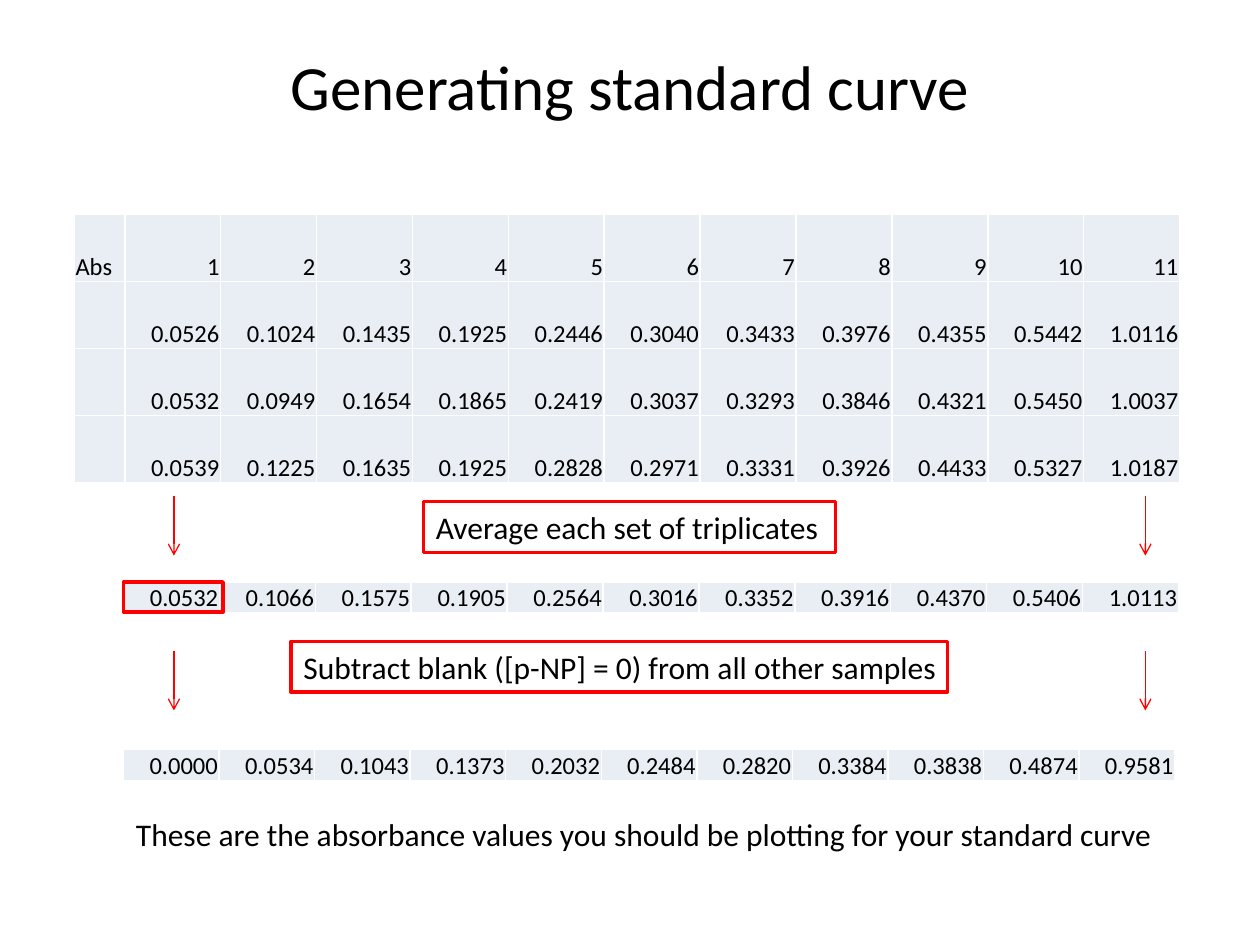
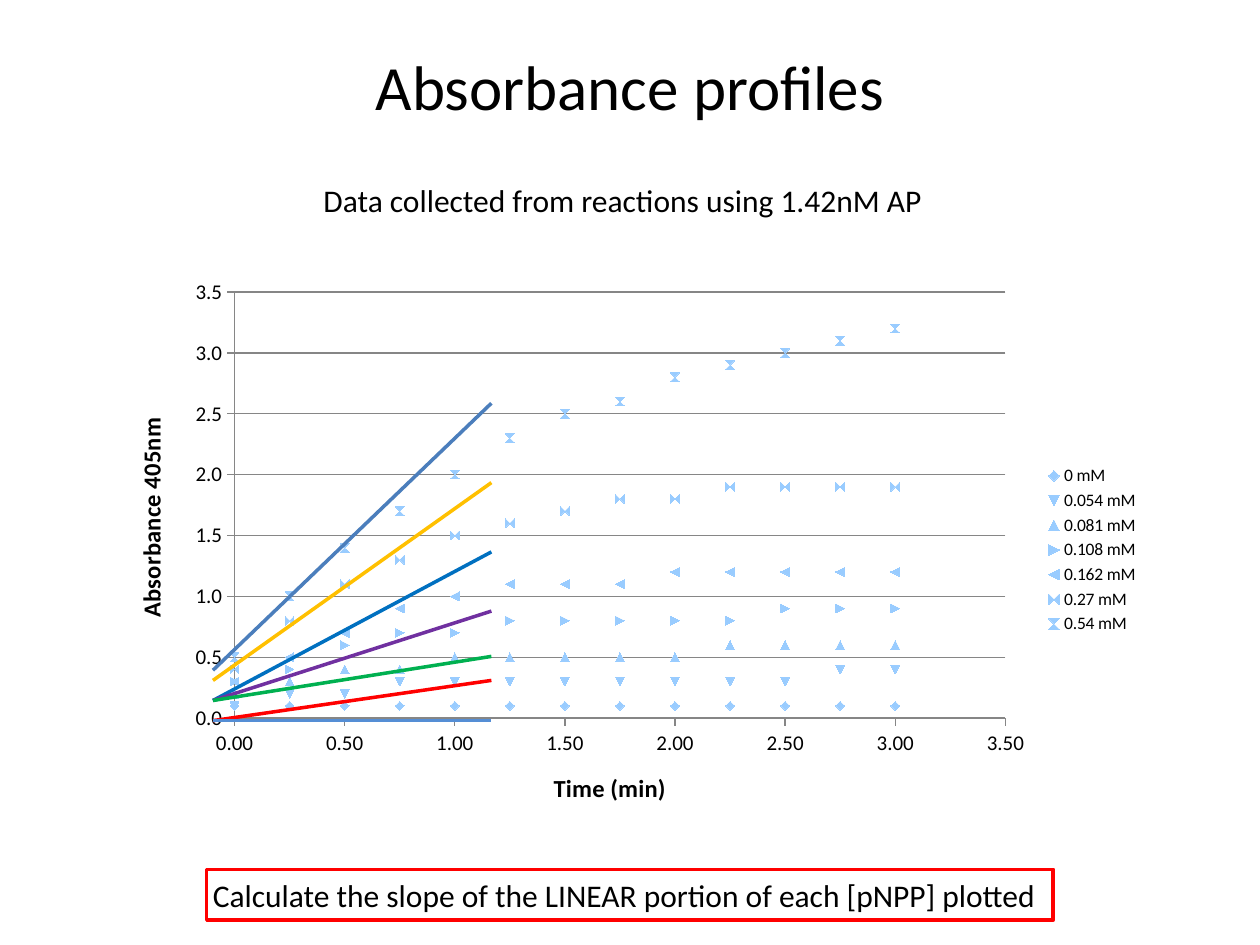
from lxml import etree
from pptx import Presentation, oxml
from pptx.chart import data as cd
from pptx.dml import color as col
from pptx.enum import chart as ce, shapes as se, text as te
from pptx.oxml import ns
from pptx.util import Pt

FONT = "Calibri"
BLACK, WHITE, RED = "000000", "FFFFFF", "FF0000"
BAND, GREY, SKY = "E9EDF4", "868686", "99CCFF"


def rgb(code):
    return col.RGBColor.from_string(code)


def style(font, size, bold=False):
    font.name, font.size, font.bold = FONT, Pt(size), bold
    font.color.rgb = rgb(BLACK)


def write(frame, words, size, align=te.PP_ALIGN.LEFT):
    par = frame.paragraphs[0]
    par.alignment = align
    run = par.add_run()
    run.text = words
    style(run.font, size)


def start(deck, words):
    slide = deck.slides.add_slide(deck.slide_layouts[5])
    slide.background.fill.solid()
    slide.background.fill.fore_color.rgb = rgb(WHITE)
    title = slide.shapes.title
    title.left, title.top, title.width, title.height = map(Pt, (36, 3.6, 648, 90))
    title.text_frame.vertical_anchor = te.MSO_ANCHOR.MIDDLE
    write(title.text_frame, words, 36, te.PP_ALIGN.CENTER)
    return slide


def label(slide, words, left, top, width):
    box = slide.shapes.add_textbox(Pt(left), Pt(top), Pt(width), Pt(29))
    box.text_frame.word_wrap = False
    box.text_frame.auto_size = te.MSO_AUTO_SIZE.SHAPE_TO_FIT_TEXT
    write(box.text_frame, words, 18)


def frame(slide, left, top, width, height=29):
    box = slide.shapes.add_shape(se.MSO_SHAPE.RECTANGLE, Pt(left), Pt(top),
                                 Pt(width), Pt(height))
    box.shadow.inherit = False
    box.fill.background()
    box.line.color.rgb = rgb(RED)
    box.line.width = Pt(2)


def line(slide, x1, y1, x2, y2, code, width, arrow=False):
    link = slide.shapes.add_connector(se.MSO_CONNECTOR.STRAIGHT,
                                      Pt(x1), Pt(y1), Pt(x2), Pt(y2))
    link.line.color.rgb = rgb(code)
    link.line.width = Pt(width)
    if arrow:
        etree.SubElement(link.line._get_or_add_ln(), ns.qn("a:tailEnd"), type="arrow")
    etree.SubElement(link._element.spPr, ns.qn("a:effectLst"))


def edge(cell):
    props = cell._tc.get_or_add_tcPr()
    for spot, side in enumerate("LRTB"):
        props.insert(spot, oxml.parse_xml(
            f'<a:ln{side} {ns.nsdecls("a")} w="12700"><a:solidFill>'
            f'<a:srgbClr val="{WHITE}"/></a:solidFill></a:ln{side}>'))


def grid(slide, rows, left, top, widths, height):
    shape = slide.shapes.add_table(len(rows), len(widths), Pt(left), Pt(top),
                                   Pt(sum(widths)), Pt(height * len(rows)))
    table = shape.table
    table.first_row = table.horz_banding = False
    for part, width in zip(table.columns, widths):
        part.width = Pt(width)
    for r, row in enumerate(rows):
        table.rows[r].height = Pt(height)
        for c, words in enumerate(row):
            cell = table.cell(r, c)
            cell.margin_left = cell.margin_right = cell.margin_top = Pt(0.7)
            cell.margin_bottom = 0
            cell.vertical_anchor = te.MSO_ANCHOR.BOTTOM
            cell.fill.solid()
            cell.fill.fore_color.rgb = rgb(BAND)
            edge(cell)
            if words:
                side = te.PP_ALIGN.LEFT if words == "Abs" else te.PP_ALIGN.RIGHT
                write(cell.text_frame, words, 14, side)


def axis(part, words, top, form):
    part.minimum_scale, part.maximum_scale, part.major_unit = 0, top, 0.5
    part.major_tick_mark = ce.XL_TICK_MARK.OUTSIDE
    part.minor_tick_mark = ce.XL_TICK_MARK.NONE
    part.format.line.color.rgb = rgb(GREY)
    part.tick_labels.number_format = form
    part.tick_labels.number_format_is_linked = False
    style(part.tick_labels.font, 12)
    write(part.axis_title.text_frame, words, 14, te.PP_ALIGN.CENTER)
    part.axis_title.text_frame.paragraphs[0].runs[0].font.bold = True


def place(chart, x, y, w, h):
    plot = chart._chartSpace.chart.plotArea
    for old in plot.findall(ns.qn("c:layout")):
        plot.remove(old)
    modes = "".join(f'<c:{k} val="{v}"/>' for k, v in (
        ("layoutTarget", "inner"), ("xMode", "edge"), ("yMode", "edge"),
        ("x", x), ("y", y), ("w", w), ("h", h)))
    plot.insert(0, oxml.parse_xml(
        f'<c:layout {ns.nsdecls("c")}><c:manualLayout>{modes}</c:manualLayout></c:layout>'))


def scatter(slide, sets, left, top, width, height):
    data = cd.XyChartData()
    for name, vals in sets.items():
        series = data.add_series(name)
        for step, val in enumerate(vals):
            series.add_data_point(step * 0.25, val)
    chart = slide.shapes.add_chart(ce.XL_CHART_TYPE.XY_SCATTER, Pt(left), Pt(top),
                                   Pt(width), Pt(height), data).chart
    style(chart.font, 10)
    chart.has_title = False
    chart.has_legend = True
    chart.legend.position = ce.XL_LEGEND_POSITION.RIGHT
    chart.legend.include_in_layout = False
    style(chart.legend.font, 10)
    chart.plots[0].vary_by_categories = False
    for series in chart.plots[0].series:
        series.format.line.fill.background()
        mark = series.marker.format
        mark.fill.solid()
        mark.fill.fore_color.rgb = rgb(SKY)
        mark.line.color.rgb = rgb(SKY)
    axis(chart.category_axis, "Time (min)", 3.5, "0.00")
    axis(chart.value_axis, "Absorbance 405nm", 3.5, "0.0")
    chart.category_axis.has_major_gridlines = False
    chart.value_axis.has_major_gridlines = True
    chart.value_axis.major_gridlines.format.line.color.rgb = rgb(GREY)
    place(chart, 0.12, 0.04, 0.74, 0.76)


def curve(deck):
    slide = start(deck, "Generating standard curve")
    reads = [
        ["Abs"] + [str(n) for n in range(1, 12)],
        [""] + "0.0526 0.1024 0.1435 0.1925 0.2446 0.3040 0.3433 0.3976 0.4355 0.5442 1.0116".split(),
        [""] + "0.0532 0.0949 0.1654 0.1865 0.2419 0.3037 0.3293 0.3846 0.4321 0.5450 1.0037".split(),
        [""] + "0.0539 0.1225 0.1635 0.1925 0.2828 0.2971 0.3331 0.3926 0.4433 0.5327 1.0187".split(),
    ]
    means = "0.0532 0.1066 0.1575 0.1905 0.2564 0.3016 0.3352 0.3916 0.4370 0.5406 1.0113".split()
    nets = "0.0000 0.0534 0.1043 0.1373 0.2032 0.2484 0.2820 0.3384 0.3838 0.4874 0.9581".split()
    grid(slide, reads, 42.5, 122.6, [28.8] + [54.8] * 11, 38.3)
    grid(slide, [means], 70.6, 332.6, [54.8] * 11, 17.3)
    grid(slide, [nets], 70.6, 428.4, [54.6] * 11, 17)
    for top in (283.7, 372.2):
        for x in (99.4, 654.5):
            line(slide, x, top, x, top + 33.8, RED, 0.75, True)
    label(slide, "Average each set of triplicates", 242, 286.6, 235.4)
    frame(slide, 242, 286.6, 235.4)
    frame(slide, 70.6, 332.6, 56.9, 17.3)
    label(slide, "Subtract blank ([p-NP] = 0) from all other samples", 166.3, 366.5, 387.4)
    frame(slide, 166.3, 366.5, 375.1)
    label(slide, "These are the absorbance values you should be plotting for your standard curve",
          70.6, 462.2, 602.6)


def profile(deck):
    slide = start(deck, "Absorbance profiles")
    sets = {
        "0 mM": [0.1] * 13,
        "0.054 mM": [0.1, 0.2, 0.2] + [0.3] * 8 + [0.4] * 2,
        "0.081 mM": [0.2, 0.3, 0.4, 0.4] + [0.5] * 5 + [0.6] * 4,
        "0.108 mM": [0.3, 0.4, 0.6, 0.7, 0.7] + [0.8] * 5 + [0.9] * 3,
        "0.162 mM": [0.3, 0.5, 0.7, 0.9, 1] + [1.1] * 3 + [1.2] * 5,
        "0.27 mM": [0.4, 0.8, 1.1, 1.3, 1.5, 1.6, 1.7, 1.8, 1.8] + [1.9] * 4,
        "0.54 mM": [0.5, 1, 1.4, 1.7, 2, 2.3, 2.5, 2.6, 2.8, 2.9, 3, 3.1, 3.2],
    }
    scatter(slide, sets, 62.6, 154.1, 595.4, 320.4)
    label(slide, "Data collected from reactions using 1.42nM AP ", 177.8, 100.1, 364.3)
    slopes = [(383, 230.4, "4B7EBC"), (388.8, 275.8, "FFC000"), (400.3, 315.4, "0070C0"),
              (400.3, 349.2, "7030A0"), (400.3, 375.1, "00B050"), (411.8, 388.8, RED),
              (411.8, 411.8, "558ED5")]
    for low, high, code in slopes:
        line(slide, 121.7, low, 280.8, high, code, 2)
    label(slide, "Calculate the slope of the LINEAR portion of each [pNPP] plotted",
          114.5, 496.8, 491)
    frame(slide, 118.1, 496.8, 483.8)


deck = Presentation()
deck.slide_width, deck.slide_height = Pt(720), Pt(540)
curve(deck)
profile(deck)
deck.save("out.pptx")
